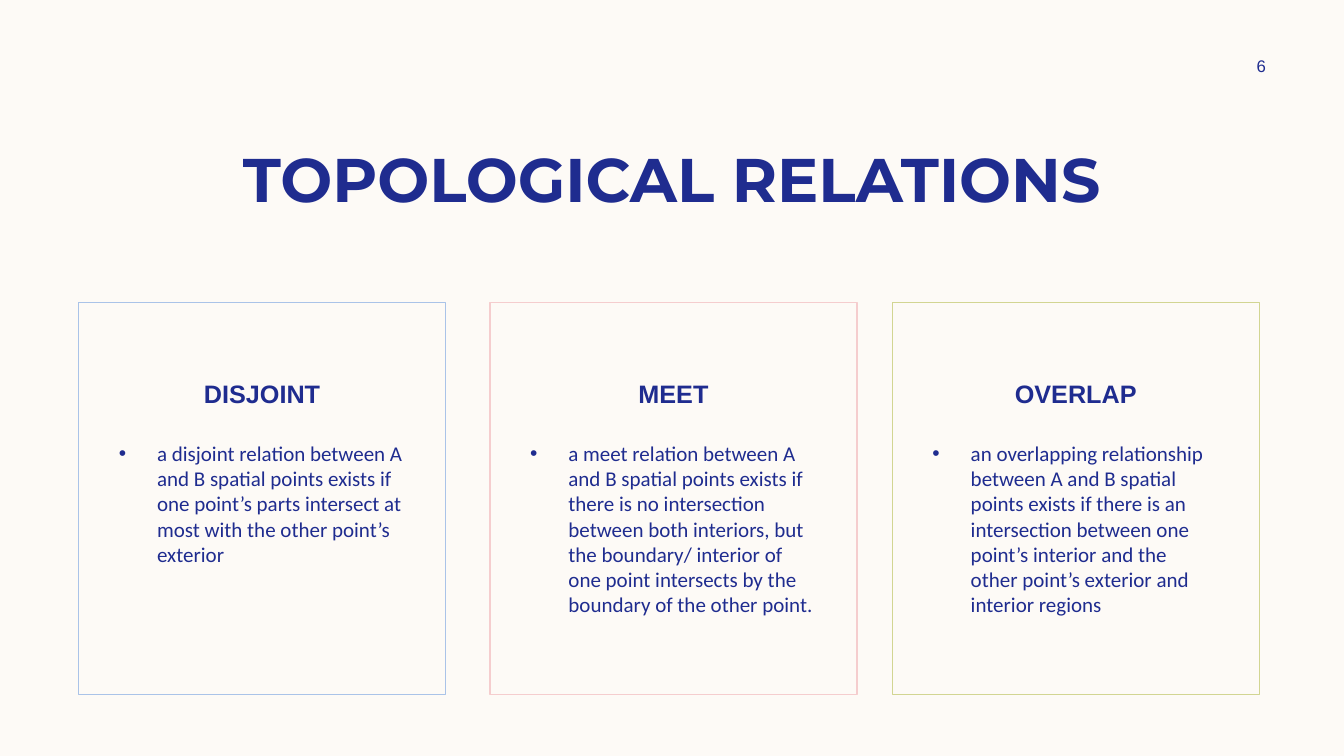
from dataclasses import dataclass

from lxml.etree import SubElement
from pptx import Presentation
from pptx.dml.color import RGBColor
from pptx.enum.shapes import MSO_SHAPE
from pptx.enum.text import MSO_ANCHOR as Anchor, PP_ALIGN as Align
from pptx.oxml.ns import qn
from pptx.shapes.autoshape import Shape
from pptx.slide import Slide
from pptx.util import Inches, Pt

NAVY = "1F2C8F"
CREAM = "FDFAF6"
CARD_TOP, CARD_WIDTH, CARD_HEIGHT = 3, 3.64, 3.89
BODY_INSET, BODY_TOP, BODY_WIDTH, BODY_HEIGHT = 0.3, 4.32, 3.03, 2.41


@dataclass
class Card:
    left: float
    outline: str
    heading: str
    body: str


CARDS = [
    Card(0.78, "AAC3E8", "DISJOINT",
         "a disjoint relation between A and B spatial points exists if one "
         "point’s parts intersect at most with the other point’s exterior"),
    Card(4.86, "F5CDCE", "MEET",
         "a meet relation between A and B spatial points exists if there is no "
         "intersection between both interiors, but the boundary/ interior of one "
         "point intersects by the boundary of the other point."),
    Card(8.85, "D2D592", "OVERLAP",
         "an overlapping relationship between A and B spatial points exists if "
         "there is an intersection between one point’s interior and the other "
         "point’s exterior and interior regions"),
]


def color(value: str) -> RGBColor:
    return RGBColor.from_string(value)


def write(shape: Shape, text: str, *, size: float, font: str, bold: bool = False,
          align: Align = Align.CENTER, anchor: Anchor = Anchor.TOP,
          inset_top: float = 0.05, bullet: bool = False) -> None:
    frame = shape.text_frame
    frame.word_wrap = True
    frame.vertical_anchor = anchor
    frame.margin_top = Inches(inset_top)
    paragraph = frame.paragraphs[0]
    paragraph.text = text
    paragraph.alignment = align
    if bullet:
        add_bullet(paragraph)
    paragraph.font.size = Pt(size)
    paragraph.font.name = font
    paragraph.font.bold = bold
    paragraph.font.color.rgb = color(NAVY)


def add_bullet(paragraph) -> None:
    """Give the paragraph a round bullet with a hanging indent."""
    properties = paragraph._p.get_or_add_pPr()
    properties.set("marL", str(Inches(0.38)))
    properties.set("indent", str(Inches(-0.38)))
    SubElement(properties, qn("a:buFont")).set("typeface", "Arial")
    SubElement(properties, qn("a:buChar")).set("char", "•")


def add_text(slide: Slide, left: float, top: float, width: float, height: float,
             text: str, **text_format) -> None:
    box = slide.shapes.add_textbox(
        Inches(left), Inches(top), Inches(width), Inches(height))
    write(box, text, **text_format)


def add_card(slide: Slide, card: Card) -> None:
    frame = slide.shapes.add_shape(
        MSO_SHAPE.RECTANGLE, Inches(card.left), Inches(CARD_TOP),
        Inches(CARD_WIDTH), Inches(CARD_HEIGHT))
    frame.shadow.inherit = False
    frame.fill.background()
    frame.line.color.rgb = color(card.outline)
    frame.line.width = Pt(1)
    write(frame, card.heading, size=18, font="Arial", bold=True, inset_top=0.75)
    add_text(slide, card.left + BODY_INSET, BODY_TOP, BODY_WIDTH, BODY_HEIGHT,
             card.body, size=15, font="Calibri", align=Align.LEFT, bullet=True)


def main() -> None:
    presentation = Presentation()
    presentation.slide_width = Inches(13.33)
    presentation.slide_height = Inches(7.5)
    slide = presentation.slides.add_slide(presentation.slide_layouts[6])
    slide.background.fill.solid()
    slide.background.fill.fore_color.rgb = color(CREAM)

    add_text(slide, 0.83, 1.35, 11.67, 0.84, "TOPOLOGICAL RELATIONS",
             size=44, font="Montserrat", bold=True)
    add_text(slide, 11.97, 0.5, 1.08, 0.3, "6",
             size=12, font="Arial", anchor=Anchor.MIDDLE)
    for card in CARDS:
        add_card(slide, card)

    presentation.save("out.pptx")


if __name__ == "__main__":
    main()
